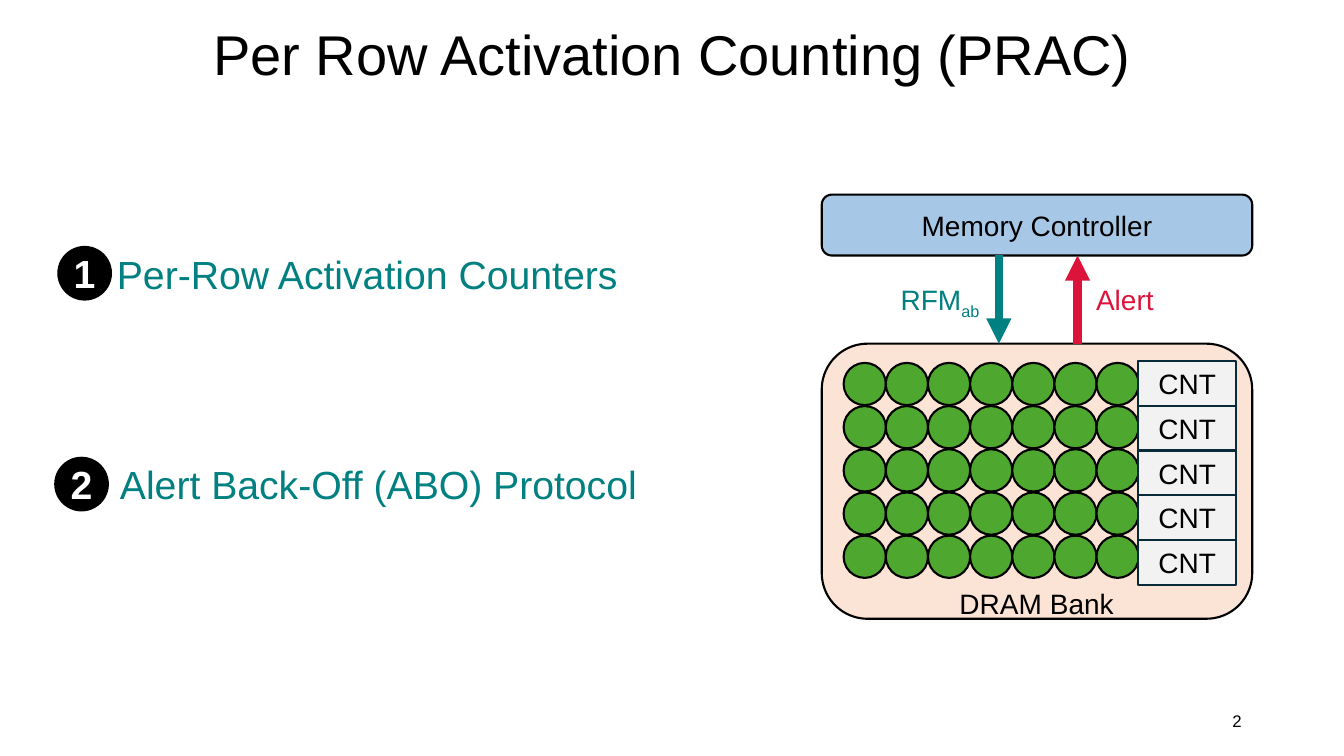
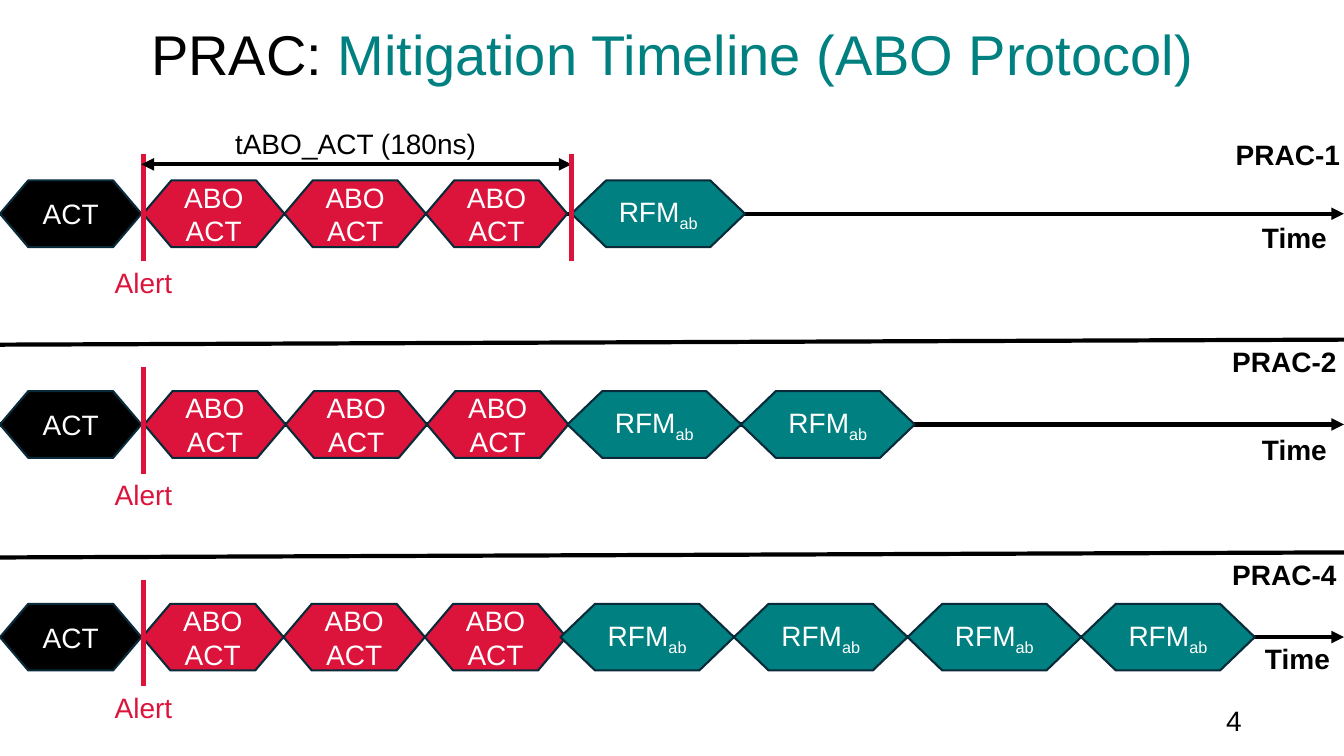
from lxml import etree
from pptx import Presentation
from pptx import util as u
from pptx.dml import color as tone
from pptx.enum import shapes, text
from pptx.oxml import ns

COLORS = {
    "black": "000000",
    "white": "FFFFFF",
    "teal": "008080",
    "crimson": "DC143C",
    "green": "4EA72E",
    "peach": "FBE3D6",
    "sky": "A7C7E7",
    "gray": "F2F2F2",
    "navy": "092A39",
}
FONT = "Arial"
WIDTH, HEIGHT = 960, 540
KIND = shapes.MSO_SHAPE
LEFT, CENTER, RIGHT = text.PP_ALIGN.LEFT, text.PP_ALIGN.CENTER, text.PP_ALIGN.RIGHT
TOP, MIDDLE = text.MSO_ANCHOR.TOP, text.MSO_ANCHOR.MIDDLE
RFM = [("RFM", {}), ("ab", {"sub": True})]
HEX_HEIGHT, ACT_WIDTH, RFM_WIDTH = 47.6, 101, 124


def rgb(name):
    return tone.RGBColor.from_string(COLORS[name])


def write(frame, *lines, size=20, color="black", bold=False, align=CENTER,
          anchor=MIDDLE, spacing=None):
    frame.word_wrap = True
    frame.auto_size = text.MSO_AUTO_SIZE.NONE
    frame.vertical_anchor = anchor
    frame.margin_left = frame.margin_right = 0
    for index, line in enumerate(lines):
        para = frame.add_paragraph() if index else frame.paragraphs[0]
        para.alignment = align
        para.line_spacing = spacing
        for words, change in [(line, {})] if isinstance(line, str) else line:
            span = para.add_run()
            span.text = words
            span.font.name = FONT
            span.font.size = u.Pt(size)
            span.font.bold = bold
            span.font.color.rgb = rgb(change.get("color", color))
            if change.get("sub"):
                span.font._element.set("baseline", "-25000")


class Slides:
    def __init__(self):
        self.deck = Presentation()
        self.deck.slide_width = u.Pt(WIDTH)
        self.deck.slide_height = u.Pt(HEIGHT)
        self.page = None

    def start(self, title, number, number_size):
        self.page = self.deck.slides.add_slide(self.deck.slide_layouts[5])
        box = self.page.shapes.title
        box.left, box.top, box.width, box.height = map(u.Pt, (0, 10.8, WIDTH, 60.5))
        write(box.text_frame, title, size=40, spacing=0.9)
        self.label(787, 500.4, 100, 28.8, number, size=number_size,
                   align=RIGHT, anchor=MIDDLE)

    def label(self, left, top, width, height, *lines, anchor=TOP, **style):
        box = self.page.shapes.add_textbox(*map(u.Pt, (left, top, width, height)))
        write(box.text_frame, *lines, anchor=anchor, **style)

    def shape(self, kind, left, top, width, height, fill, *lines, line="black", **style):
        box = self.page.shapes.add_shape(kind, *map(u.Pt, (left, top, width, height)))
        box.shadow.inherit = False
        box.fill.solid()
        box.fill.fore_color.rgb = rgb(fill)
        box.line.color.rgb = rgb(line)
        box.line.width = u.Pt(1.5)
        if lines:
            write(box.text_frame, *lines, **style)
        return box

    def hexagon(self, left, top, width, fill, *lines):
        return self.shape(KIND.FLOWCHART_PREPARATION, left, top, width, HEX_HEIGHT,
                          fill, *lines, line="navy", color="white")

    def line(self, x1, y1, x2, y2, color="black", width=3, arrows=()):
        connector = self.page.shapes.add_connector(
            shapes.MSO_CONNECTOR.STRAIGHT, *map(u.Pt, (x1, y1, x2, y2)))
        connector.line.color.rgb = rgb(color)
        connector.line.width = u.Pt(width)
        outline = connector.get_or_add_ln()
        for end in arrows:
            etree.SubElement(outline, ns.qn(f"a:{end}"), type="triangle")
        etree.SubElement(connector._element.spPr, ns.qn("a:effectLst"))
        return connector


def build_counting(slides):
    slides.start("Per Row Activation Counting (PRAC)", "2", 12)
    bank_left, bank_top, bank_width = 587, 245.5, 307.5
    controller_top, controller_height = 139, 43.5
    controller_bottom = controller_top + controller_height
    slides.shape(KIND.ROUNDED_RECTANGLE, bank_left, bank_top, bank_width, 196.5, "peach")
    slides.shape(KIND.ROUNDED_RECTANGLE, bank_left, controller_top, bank_width,
                 controller_height, "sky", "Memory Controller")
    for row in range(5):
        for column in range(7):
            slides.shape(KIND.OVAL, 602.6 + 30.1 * column, 259.2 + 30.85 * row,
                         30.2, 30.2, "green")
    for row in range(5):
        slides.shape(KIND.RECTANGLE, 813, 257.8 + 32 * row, 70, 32, "gray",
                     "CNT", line="navy")
    slides.label(667, 415.4, 147, 31.7, "DRAM Bank")
    slides.line(769.7, bank_top, 769.7, controller_bottom, "crimson", 6, ["tailEnd"])
    slides.line(713.5, controller_bottom, 713.5, bank_top, "teal", 6, ["tailEnd"])
    slides.label(773.3, 198, 60.5, 31.7, "Alert", color="crimson")
    slides.label(633, 198, 77, 31.7, RFM, color="teal")
    items = [
        ("1", 41.7, 176.4, 83.5, "Per-Row Activation Counters"),
        ("2", 39.5, 327, 85.7, "Alert Back-Off (ABO) Protocol"),
    ]
    for number, badge_left, top, words_left, words in items:
        slides.shape(KIND.OVAL, badge_left, top, 37.6, 37.6, "black", number,
                     size=28, color="white", bold=True)
        slides.label(words_left, top - 1.4, 480, 41, words, size=28,
                     color="teal", align=LEFT)


def build_timeline(slides):
    slides.start([("PRAC: ", {}), ("Mitigation Timeline (ABO Protocol)", {"color": "teal"})],
                 "4", 20)
    rows = [
        ("PRAC-1", 1, 128.9, (880, 95), 110.2, (901.4, 154.1), 102.2, 408.2),
        ("PRAC-2", 2, 279.4, (877.5, 242.6), 262.1, (901.4, 305.3), 103, 405.4),
        ("PRAC-4", 4, 431.3, (877.5, 394.6), 414, (903.6, 455), 101.5, 400.3),
    ]
    for name, rfm_count, top, name_at, alert_top, time_at, abo_left, rfm_left in rows:
        middle = top + HEX_HEIGHT / 2
        axis = slides.line(0, middle, WIDTH, middle, arrows=["tailEnd"])
        axis.begin_connect(slides.hexagon(0, top, ACT_WIDTH, "black", "ACT"), 1)
        for step in range(3):
            slides.hexagon(abo_left + ACT_WIDTH * step, top, ACT_WIDTH, "crimson",
                           "ABO", "ACT")
        for step in range(rfm_count):
            slides.hexagon(rfm_left + RFM_WIDTH * step, top, RFM_WIDTH, "teal", RFM)
        slides.line(102.5, alert_top, 102.5, alert_top + 76.3, "crimson")
        slides.label(52, alert_top + 75.6, 101, 31.7, "Alert", color="crimson")
        slides.label(*name_at, 80, 31.7, name, bold=True)
        slides.label(*time_at, 56, 31.7, "Time", bold=True, align=LEFT)
    for _, _, _, (_, name_top), *_ in rows[1:]:
        slides.line(0, name_top + 3.6, WIDTH, name_top)
    slides.line(101, 117.4, 408.2, 117.4, arrows=["headEnd", "tailEnd"])
    slides.label(159, 87.1, 190, 31.7, "tABO_ACT (180ns)")
    slides.line(408.2, 110.2, 408.2, 186.5, "crimson")


def main():
    slides = Slides()
    build_counting(slides)
    build_timeline(slides)
    slides.deck.save("out.pptx")


if __name__ == "__main__":
    main()
